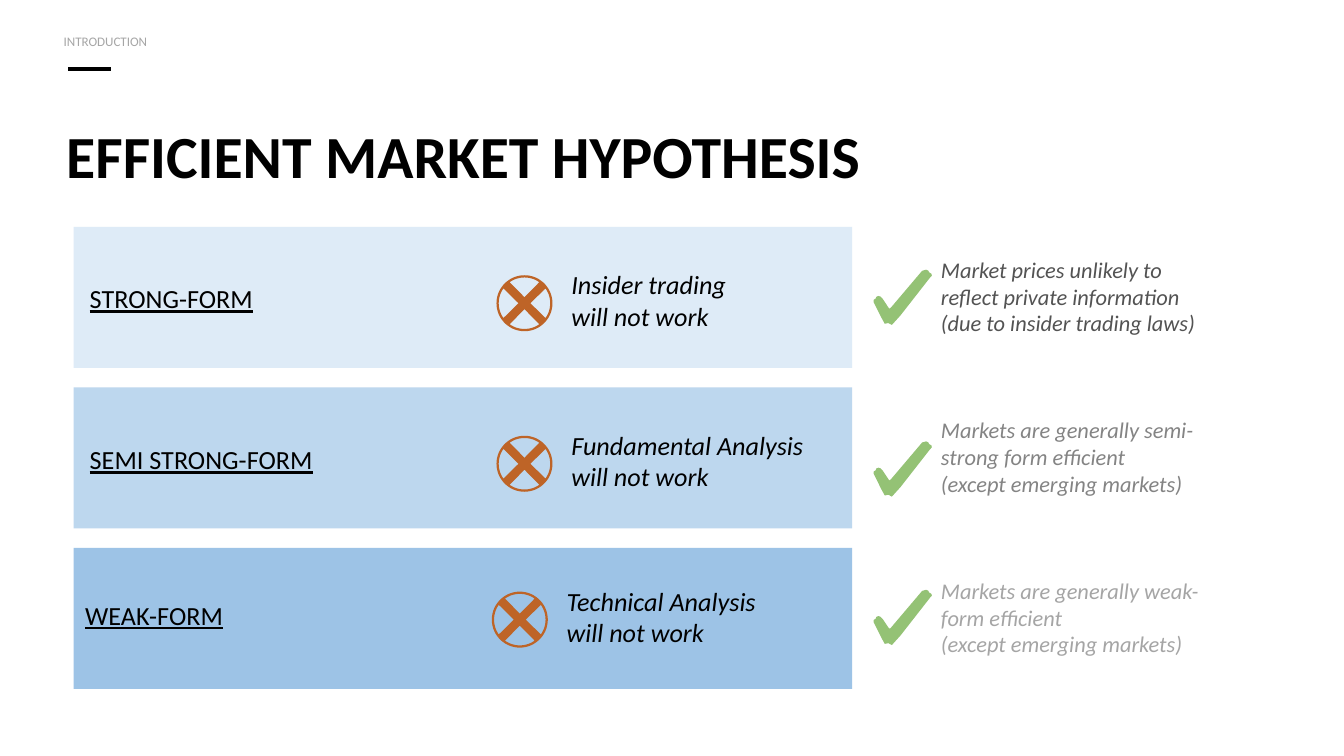
from math import atan2, cos, pi, sin
from pptx import Presentation
from pptx.dml.color import RGBColor
from pptx.enum import shapes, text
from pptx.oxml import parse_xml
from pptx.oxml.ns import nsdecls
from pptx.util import Pt

FONT = "Calibri"
TICK = [(28.1, 0), (26, 0.6), (9.4, 20.2), (8.6, 20.9), (7.9, 20.2), (5, 15.8),
        (3.6, 14.4), (2.5, 14.1), (1.4, 14.6), (1.2, 15.4), (0, 16.2), (0, 17.3),
        (4.3, 25.9), (6, 29), (7.9, 28.6), (9.8, 29.6), (14.4, 24.5), (30.2, 4.3),
        (31.2, 3.2), (31, 2.2), (29.7, 1.4), (29.3, 0.5)]

# name, band colour, method, method width, note, note colour, tick offset, nudge
ROWS = [
    ("STRONG-FORM", "DEEBF7", ["Insider trading will not work"], 108,
     ["Market prices unlikely to reflect private information",
      "(due to insider trading laws)"], "535353", 23, (0, 0)),
    ("SEMI STRONG-FORM", "BDD7EE", ["Fundamental Analysis will not work"], 149,
     ["Markets are generally semi-strong form efficient",
      "(except emerging markets)"], "848484", 29, (0, 0)),
    ("WEAK-FORM", "9DC3E6", ["Technical Analysis", "will not work"], 149,
     ["Markets are generally weak-form efficient",
      "(except emerging markets)"], "A5A5A5", 22.5, (-2.5, -2.5)),
]


def tint(hue):
    return RGBColor.from_string(hue)


def paint(shape, hue):
    shape.shadow.inherit = False
    shape.fill.solid()
    shape.fill.fore_color.rgb = tint(hue)
    shape.line.fill.background()


def write(frame, lines, size, hue, pad=3.6, **style):
    """Fill a text frame, one paragraph per line."""
    frame.word_wrap = True
    frame.auto_size = text.MSO_AUTO_SIZE.NONE
    frame.vertical_anchor = text.MSO_ANCHOR.TOP
    frame.margin_left = frame.margin_right = Pt(pad)
    frame.margin_top = frame.margin_bottom = Pt(pad)
    for i, line in enumerate(lines):
        para = frame.add_paragraph() if i else frame.paragraphs[0]
        para.alignment = text.PP_ALIGN.LEFT
        run = para.add_run()
        run.text = line
        font = run.font
        font.name, font.size = FONT, Pt(size)
        font.color.rgb = tint(hue)
        for key, value in style.items():
            setattr(font, key, value)


def add_text(slide, x, y, w, h, *args, **style):
    box = slide.shapes.add_textbox(Pt(x), Pt(y), Pt(w), Pt(h))
    write(box.text_frame, *args, **style)
    return box


def add_icon(slide, x, y, loops, hue):
    """Draw closed loops as one shape; inner loops become holes."""
    loops = [[(Pt(a), Pt(b)) for a, b in loop] for loop in loops]
    pen = slide.shapes.build_freeform(*loops[0][0])
    for i, loop in enumerate(loops):
        if i:
            pen.move_to(*loop[0])
        pen.add_line_segments(loop[1:], close=True)
    paint(pen.convert_to_shape(Pt(x), Pt(y)), hue)


def arc(mid, rad, start, end, steps):
    turns = [start + (end - start) * i / steps for i in range(steps + 1)]
    return [(mid + rad * cos(t), mid + rad * sin(t)) for t in turns]


def cross():
    """Return a disc and the four wedges that leave a ring and an X."""
    mid, rim, gap = 15, 13.8, 3.2
    half = atan2(7.9, 11.2)
    loops = [arc(mid, mid, 0, 2 * pi, 60)[:-1]]
    for k in range(4):
        turn = k * pi / 2
        tip = (mid + gap * cos(turn), mid + gap * sin(turn))
        loops.append([tip] + arc(mid, rim, turn - half, turn + half, 14))
    return loops


def add_head(slide, x, y):
    rule = slide.shapes.add_connector(
        shapes.MSO_CONNECTOR.STRAIGHT, Pt(x + 6), Pt(y + 24), Pt(x + 29), Pt(y + 24))
    rule.line.color.rgb = tint("000000")
    rule.line.width = Pt(2.25)
    rule._element.spPr.append(parse_xml(f"<a:effectLst {nsdecls('a')}/>"))
    tag = add_text(slide, x, y, 325, 16.5, ["INTRODUCTION"], 7, "A6A6A6")
    tag.text_frame.paragraphs[0].line_spacing = Pt(10)
    title = slide.shapes.title
    title.left, title.top = Pt(x), Pt(y + 36)
    title.width, title.height = Pt(664), Pt(65)
    write(title.text_frame, ["EFFICIENT MARKET HYPOTHESIS"], 32, "000000",
          pad=5, bold=True)
    title.text_frame.paragraphs[0].line_spacing = Pt(48)


def add_row(slide, x, y, w, h, row):
    name, fill, method, wide, note, grey, drop, (dx, dy) = row
    band = slide.shapes.add_shape(
        shapes.MSO_SHAPE.RECTANGLE, Pt(x), Pt(y), Pt(w), Pt(h))
    paint(band, fill)
    left, top = x + dx, y + dy
    add_text(slide, left + 5, top + 26.5, 210, 24.5, [name], 14, "000000",
             underline=True)
    add_icon(slide, left + 226.5, top + 26, cross(), "BE6427")
    add_text(slide, left + 263, top + 19, wide, 41, method, 14, "000000", italic=True)
    add_icon(slide, x + w + 11.5, y + drop, [TICK], "94C275")
    add_text(slide, x + w + 44, y + 12, 158.5, 51, note, 12, grey, italic=True)


def main():
    deck = Presentation()
    deck.slide_width, deck.slide_height = Pt(720), Pt(405)
    slide = deck.slides.add_slide(deck.slide_layouts[5])
    add_head(slide, 30.5, 13)
    for i, row in enumerate(ROWS):
        add_row(slide, 39.5, 121.5 + 86 * i, 417, 75.6, row)
    deck.save("out.pptx")


if __name__ == "__main__":
    main()
